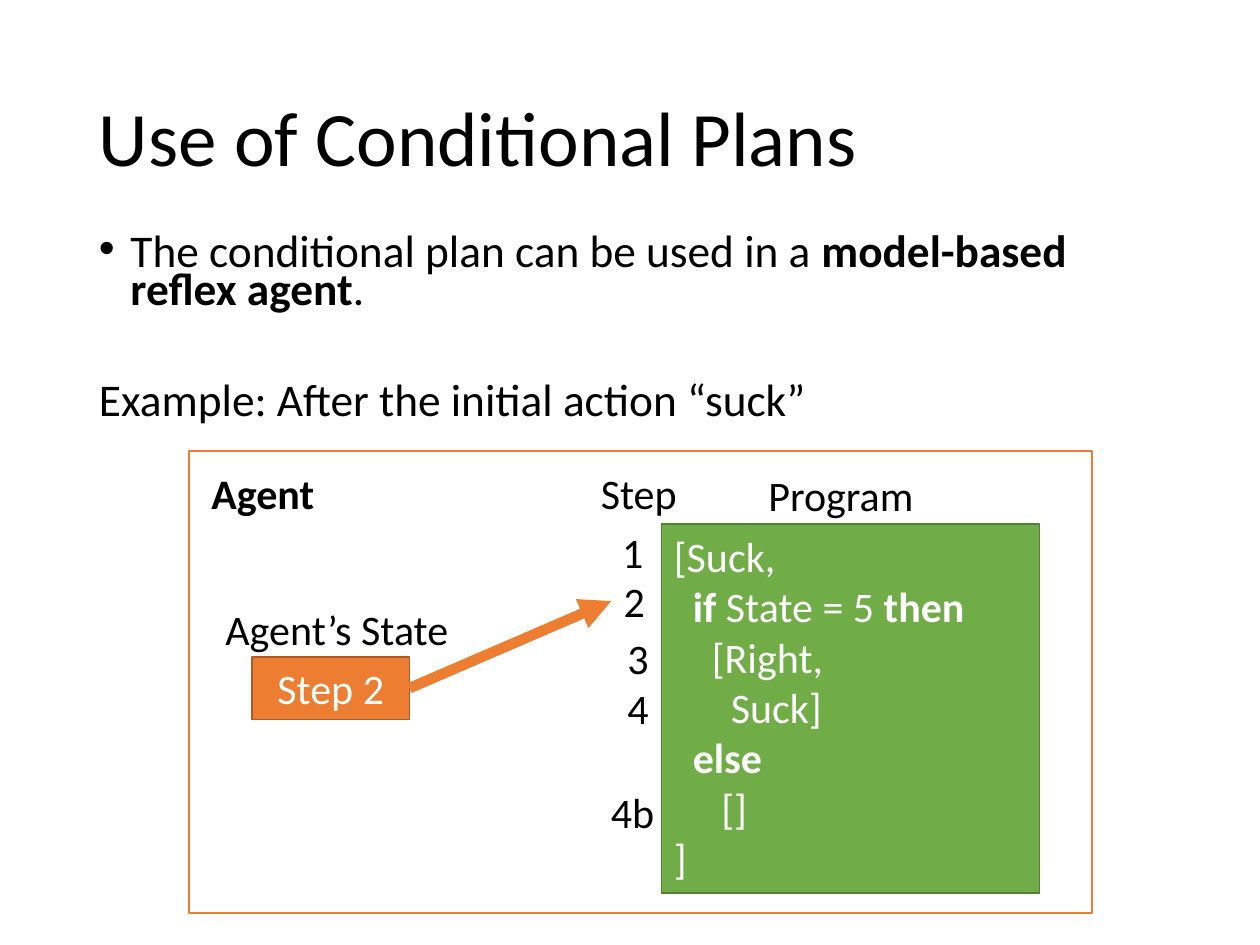
from dataclasses import dataclass
from typing import NamedTuple

from lxml.etree import SubElement
from pptx import Presentation
from pptx.dml.color import RGBColor
from pptx.enum.shapes import MSO_CONNECTOR, MSO_SHAPE
from pptx.enum.text import MSO_ANCHOR, PP_ALIGN
from pptx.oxml.ns import qn
from pptx.util import Pt


@dataclass(frozen=True)
class Theme:
    font: str = "Calibri"
    title_size: float = 44
    body_size: float = 25.9
    label_size: float = 24
    black: str = "000000"
    white: str = "FFFFFF"
    orange: str = "ED7D31"
    dark_orange: str = "AF5C24"
    green: str = "70AD47"
    dark_green: str = "538035"


class Box(NamedTuple):
    """Left, top, width and height in points."""
    left: float
    top: float
    width: float
    height: float

    def inner(self, left, top, width, height):
        return Box(self.left + left, self.top + top, width, height)

    def lengths(self):
        return [Pt(value) for value in self]


THEME = Theme()
LABEL_HEIGHT = 36


def write(para, spans, size, color):
    """Fill a paragraph with (text, bold) spans in one font."""
    for text, bold in spans:
        span = para.add_run()
        span.text = text
        if bold:
            span.font.bold = True
    para.font.name = THEME.font
    para.font.size = Pt(size)
    para.font.color.rgb = RGBColor.from_string(color)


def add_text(page, box):
    text_box = page.shapes.add_textbox(*box.lengths())
    text_box.text_frame.word_wrap = True
    return text_box


def add_label(page, box, text, bold=False):
    label = add_text(page, box)
    write(label.text_frame.paragraphs[0], [(text, bold)], THEME.label_size, THEME.black)
    return label


def add_rectangle(page, box, line, line_width, fill=None):
    rectangle = page.shapes.add_shape(MSO_SHAPE.RECTANGLE, *box.lengths())
    rectangle.shadow.inherit = False
    if fill:
        rectangle.fill.solid()
        rectangle.fill.fore_color.rgb = RGBColor.from_string(fill)
    else:
        rectangle.fill.background()
    rectangle.line.color.rgb = RGBColor.from_string(line)
    rectangle.line.width = Pt(line_width)
    return rectangle


def add_title(page, box):
    frame = add_text(page, box).text_frame
    frame.vertical_anchor = MSO_ANCHOR.MIDDLE
    para = frame.paragraphs[0]
    para.line_spacing = 0.9
    write(para, [("Use of Conditional Plans", False)], THEME.title_size, THEME.black)


def add_body(page, box):
    frame = add_text(page, box).text_frame
    point, example = frame.paragraphs[0], frame.add_paragraph()
    point.line_spacing = example.line_spacing = 0.7
    example.space_before = Pt(42)
    properties = point._p.get_or_add_pPr()
    properties.set("marL", str(Pt(18)))
    properties.set("indent", str(Pt(-18)))
    SubElement(properties, qn("a:buFont"), typeface="Arial")
    SubElement(properties, qn("a:buChar"), char="•")
    write(point, [("The conditional plan can be used in a ", False),
                  ("model-based reflex agent", True), (".", False)],
          THEME.body_size, THEME.black)
    write(example, [("Example: After the initial action “suck”", False)],
          THEME.body_size, THEME.black)


def add_program(page, box):
    lines = [
        [("[Suck,", False)],
        [("  if", True), (" State = 5 ", False), ("then", True)],
        [("    [Right,", False)],
        [("      Suck]", False)],
        [("  else", True)],
        [("     []", False)],
        [("]", False)],
    ]
    frame = add_rectangle(page, box, THEME.dark_green, 1, THEME.green).text_frame
    frame.vertical_anchor = MSO_ANCHOR.TOP
    for number, spans in enumerate(lines):
        para = frame.add_paragraph() if number else frame.paragraphs[0]
        para.alignment = PP_ALIGN.LEFT
        write(para, spans, THEME.label_size, THEME.white)


def add_state(page, box):
    state = add_rectangle(page, box, THEME.dark_orange, 1, THEME.orange)
    state.text_frame.vertical_anchor = MSO_ANCHOR.TOP
    para = state.text_frame.paragraphs[0]
    para.alignment = PP_ALIGN.CENTER
    write(para, [("Step 2", False)], THEME.label_size, THEME.white)
    return state


def add_arrow(page, source, target):
    """Point from the right side of source to the left side of target."""
    arrow = page.shapes.add_connector(MSO_CONNECTOR.STRAIGHT, 0, 0, 0, 0)
    arrow.begin_connect(source, 3)
    arrow.end_connect(target, 1)
    arrow.line.color.rgb = RGBColor.from_string(THEME.orange)
    arrow.line.width = Pt(6)
    SubElement(arrow.line._get_or_add_ln(), qn("a:tailEnd"), type="triangle")
    SubElement(arrow._element.spPr, qn("a:effectLst"))


def add_agent(page, box):
    add_rectangle(page, box, THEME.orange, 0.75)
    add_program(page, box.inner(270, 41.75, 216, 211))
    state = add_state(page, box.inner(36, 117.5, 90, LABEL_HEIGHT))

    headings = [
        ("Agent", 5.75, 5.75, 96, True),
        ("Step", 228.25, 5.75, 72, False),
        ("Program", 324, 7.25, 98, False),
        ("Agent’s State", 13.75, 83.5, 165, False),
    ]
    for text, left, top, width, bold in headings:
        add_label(page, box.inner(left, top, width, LABEL_HEIGHT), text, bold)

    steps = [
        ("1", 240.5, 39.5, 30),
        ("2", 241.25, 67.75, 30),
        ("3", 243.5, 100, 30),
        ("4", 243.5, 128.75, 30),
        ("4b", 234, 188, 42),
    ]
    step_labels = {
        text: add_label(page, box.inner(left, top, width, LABEL_HEIGHT), text)
        for text, left, top, width in steps
    }
    add_arrow(page, state, step_labels["2"])


def main():
    deck = Presentation()
    deck.slide_width, deck.slide_height = Pt(720), Pt(540)
    page = deck.slides.add_slide(deck.slide_layouts[6])
    add_title(page, Box(49.5, 28.75, 621, 104.5))
    add_body(page, Box(49.5, 131.75, 621, 126))
    add_agent(page, Box(108, 257.75, 516, 264))
    deck.save("out.pptx")


if __name__ == "__main__":
    main()
